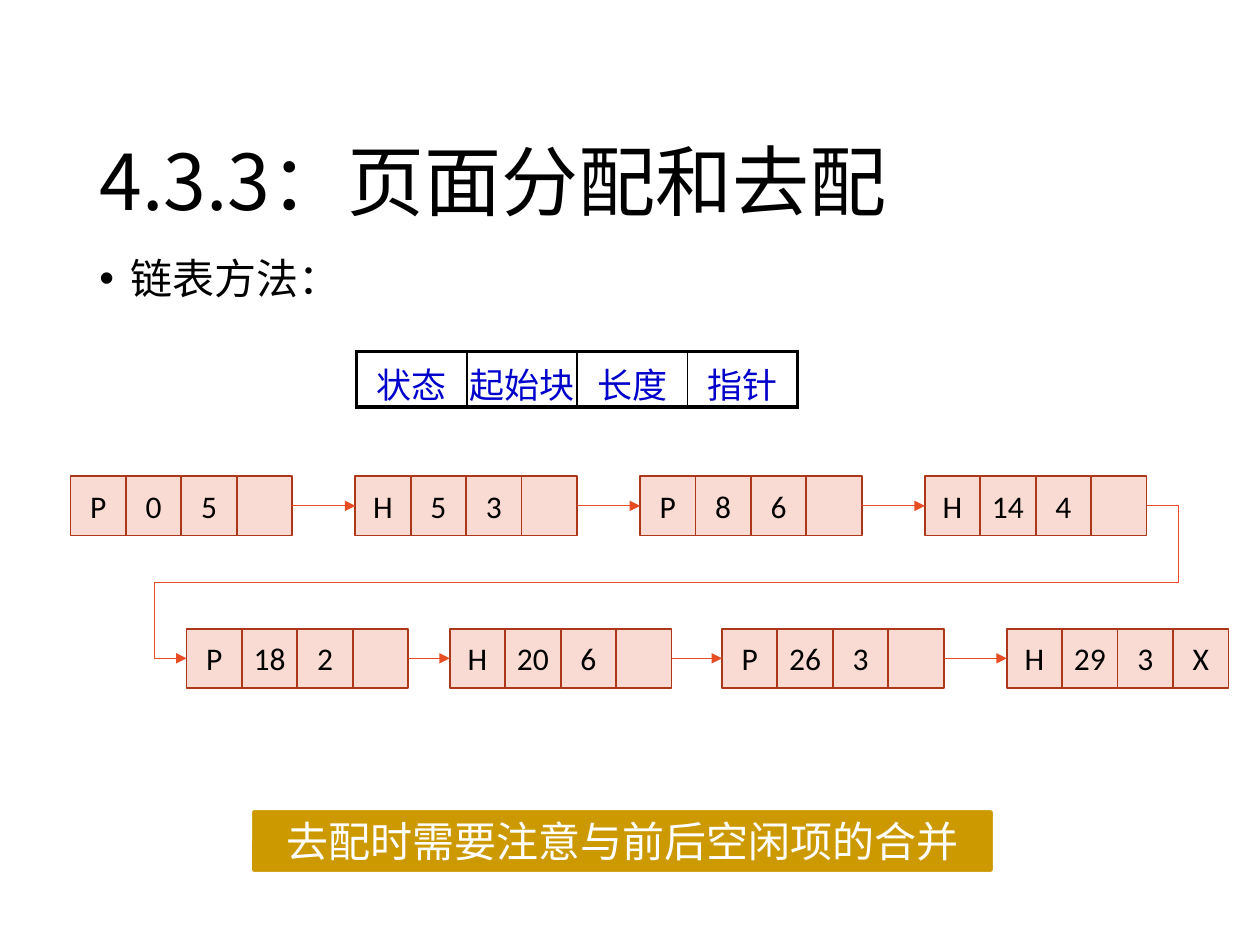
from dataclasses import dataclass
from itertools import pairwise

import pptx
import pptx.dml.color
import pptx.enum.shapes
import pptx.enum.text
import pptx.oxml
import pptx.oxml.ns
import pptx.util
from pptx.util import Inches

ALIGN = pptx.enum.text.PP_ALIGN
ANCHOR = pptx.enum.text.MSO_ANCHOR
SHAPE = pptx.enum.shapes.MSO_SHAPE
CONNECTOR = pptx.enum.shapes.MSO_CONNECTOR
qn = pptx.oxml.ns.qn


@dataclass(frozen=True)
class Theme:
    black: str = "000000"
    white: str = "FFFFFF"
    header_text: str = "0000CC"
    node_fill: str = "FADBD3"
    node_line: str = "AC3819"
    arrow: str = "E84C22"
    banner: str = "CC9900"
    cjk_font: str = "Noto Sans CJK SC"
    latin_font: str = "Calibri"
    table_font: str = "Arial"
    title_size: int = 44
    text_size: int = 24
    header_size: int = 20
    node_size: int = 18


@dataclass(frozen=True)
class Node:
    left: float
    top: float
    values: tuple[str, str, str, str]


THEME = Theme()
CELL_WIDTH, CELL_HEIGHT = 0.44, 0.47
FIRST_TOP, SECOND_TOP = 3.78, 4.99
FIRST_LEFT, FIRST_STEP = 0.56, 2.26

FIRST_VALUES = (("P", "0", "5", ""), ("H", "5", "3", ""),
                ("P", "8", "6", ""), ("H", "14", "4", ""))
FIRST_ROW = [Node(FIRST_LEFT + i * FIRST_STEP, FIRST_TOP, values)
             for i, values in enumerate(FIRST_VALUES)]
SECOND_ROW = [
    Node(1.48, SECOND_TOP, ("P", "18", "2", "")),
    Node(3.57, SECOND_TOP, ("H", "20", "6", "")),
    Node(5.73, SECOND_TOP, ("P", "26", "3", "")),
    Node(7.99, SECOND_TOP, ("H", "29", "3", "X")),
]


def rgb(color: str):
    return pptx.dml.color.RGBColor.from_string(color)


def add_xml(parent, tag: str, content: str = "", attributes: str = "") -> None:
    namespace = pptx.oxml.ns.nsdecls("a")
    parent.append(pptx.oxml.parse_xml(f"<a:{tag} {namespace} {attributes}>{content}</a:{tag}>"))


def write(frame, text: str, size: int, font: str, color: str, align=ALIGN.CENTER):
    """Write one formatted paragraph into a text frame."""
    frame.word_wrap = True
    paragraph = frame.paragraphs[0]
    paragraph.text = text
    paragraph.alignment = align
    paragraph.font.size = pptx.util.Pt(size)
    paragraph.font.name = font
    paragraph.font.color.rgb = rgb(color)
    properties = paragraph._p.pPr.find(qn("a:defRPr"))
    add_xml(properties, "ea", attributes=f'typeface="{THEME.cjk_font}"')
    return paragraph


def add_box(shapes, kind, left: float, top: float, width: float, height: float,
            fill: str, line: str, line_width: float):
    shape = shapes.add_shape(kind, Inches(left), Inches(top), Inches(width), Inches(height))
    shape.shadow.inherit = False
    shape.fill.solid()
    shape.fill.fore_color.rgb = rgb(fill)
    shape.line.color.rgb = rgb(line)
    shape.line.width = pptx.util.Pt(line_width)
    return shape


def add_node(slide, node: Node) -> list:
    """Draw one list entry as a group of four cells."""
    group = slide.shapes.add_group_shape()
    cells = []
    for i, value in enumerate(node.values):
        cell = add_box(group.shapes, SHAPE.RECTANGLE, node.left + i * CELL_WIDTH, node.top,
                       CELL_WIDTH, CELL_HEIGHT, THEME.node_fill, THEME.node_line, 1)
        frame = cell.text_frame
        frame.margin_left = frame.margin_right = 0
        frame.vertical_anchor = ANCHOR.MIDDLE
        if value:
            write(frame, value, THEME.node_size, THEME.latin_font, THEME.black)
        cells.append(cell)
    return cells


def add_arrow(slide, kind, start: tuple[int, int], end: tuple[int, int]):
    connector = slide.shapes.add_connector(kind, *start, *end)
    connector.line.color.rgb = rgb(THEME.arrow)
    connector.line.width = pptx.util.Pt(0.5)
    add_xml(connector.line._get_or_add_ln(), "tailEnd", attributes='type="triangle"')
    add_xml(connector._element.spPr, "effectLst")
    return connector


def side_points(source, target) -> tuple[tuple[int, int], tuple[int, int]]:
    """Middle of the source's right side and of the target's left side."""
    return ((source.left + source.width, source.top + source.height // 2),
            (target.left, target.top + target.height // 2))


def add_row(slide, nodes: list[Node]) -> list[list]:
    row = [add_node(slide, node) for node in nodes]
    for source, target in pairwise(row):
        arrow = add_arrow(slide, CONNECTOR.STRAIGHT, *side_points(source[-1], target[0]))
        arrow.begin_connect(source[-1], 3)
        arrow.end_connect(target[0], 1)
    return row


def add_return_arrow(slide, source, target) -> None:
    """Lead from the end of the first row round to the start of the second."""
    arrow = add_arrow(slide, CONNECTOR.ELBOW, *side_points(source, target))
    geometry = arrow._element.spPr.find(qn("a:prstGeom"))
    geometry.set("prst", "bentConnector5")
    adjustments = geometry.find(qn("a:avLst"))
    if adjustments is None:
        add_xml(geometry, "avLst")
        adjustments = geometry.find(qn("a:avLst"))
    for i, value in enumerate((-3300, 50000, 103300), start=1):
        add_xml(adjustments, "gd", attributes=f'name="adj{i}" fmla="val {value}"')


def add_header_table(slide, labels: tuple[str, ...]) -> None:
    frame = slide.shapes.add_table(1, len(labels), Inches(2.83), Inches(2.79),
                                   Inches(3.5), Inches(0.44))
    table = frame.table
    table.first_row = table.horz_banding = False
    last = len(labels) - 1
    for i, label in enumerate(labels):
        cell = table.cell(0, i)
        cell.margin_left = cell.margin_right = 0
        write(cell.text_frame, label, THEME.header_size, THEME.table_font, THEME.header_text)
        borders = {"lnL": 2.25 if i == 0 else 1, "lnR": 2.25 if i == last else 1,
                   "lnT": 2.25, "lnB": 2.25}
        properties = cell._tc.get_or_add_tcPr()
        for side, width in borders.items():
            add_xml(properties, side,
                    f'<a:solidFill><a:srgbClr val="{THEME.black}"/></a:solidFill>',
                    f'w="{pptx.util.Pt(width)}"')
        cell.fill.background()


def main() -> None:
    presentation = pptx.Presentation()
    presentation.slide_width, presentation.slide_height = Inches(10), Inches(7.5)
    slide = presentation.slides.add_slide(presentation.slide_layouts[5])

    # Title
    title = slide.shapes.title
    title.left, title.top = Inches(0.69), Inches(0.4)
    title.width, title.height = Inches(8.62), Inches(1.45)
    title.text_frame.vertical_anchor = ANCHOR.BOTTOM
    write(title.text_frame, "4.3.3：页面分配和去配", THEME.title_size, THEME.cjk_font,
          THEME.black, ALIGN.LEFT).line_spacing = 0.9

    # Bulleted line
    body = slide.shapes.add_textbox(Inches(0.69), Inches(2), Inches(8.62), Inches(0.8))
    paragraph = body.text_frame.paragraphs[0]
    paragraph.line_spacing = 0.9
    properties = paragraph._p.get_or_add_pPr()
    properties.set("marL", str(Inches(0.25)))
    properties.set("indent", str(-Inches(0.25)))
    add_xml(properties, "buFont", attributes='typeface="Arial"')
    add_xml(properties, "buChar", attributes='char="•"')
    write(body.text_frame, "链表方法：", THEME.text_size, THEME.cjk_font, THEME.black, ALIGN.LEFT)

    # Entry layout and linked list
    add_header_table(slide, ("状态", "起始块", "长度", "指针"))
    first_row = add_row(slide, FIRST_ROW)
    second_row = add_row(slide, SECOND_ROW)
    add_return_arrow(slide, first_row[-1][-1], second_row[0][0])

    # Closing banner
    banner = add_box(slide.shapes, SHAPE.ROUNDED_RECTANGLE, 1.99, 6.42, 5.9, 0.51,
                     THEME.banner, THEME.white, 1.5)
    banner.adjustments[0] = 0.05
    write(banner.text_frame, "去配时需要注意与前后空闲项的合并", THEME.text_size,
          THEME.latin_font, THEME.white)

    presentation.save("out.pptx")


if __name__ == "__main__":
    main()
